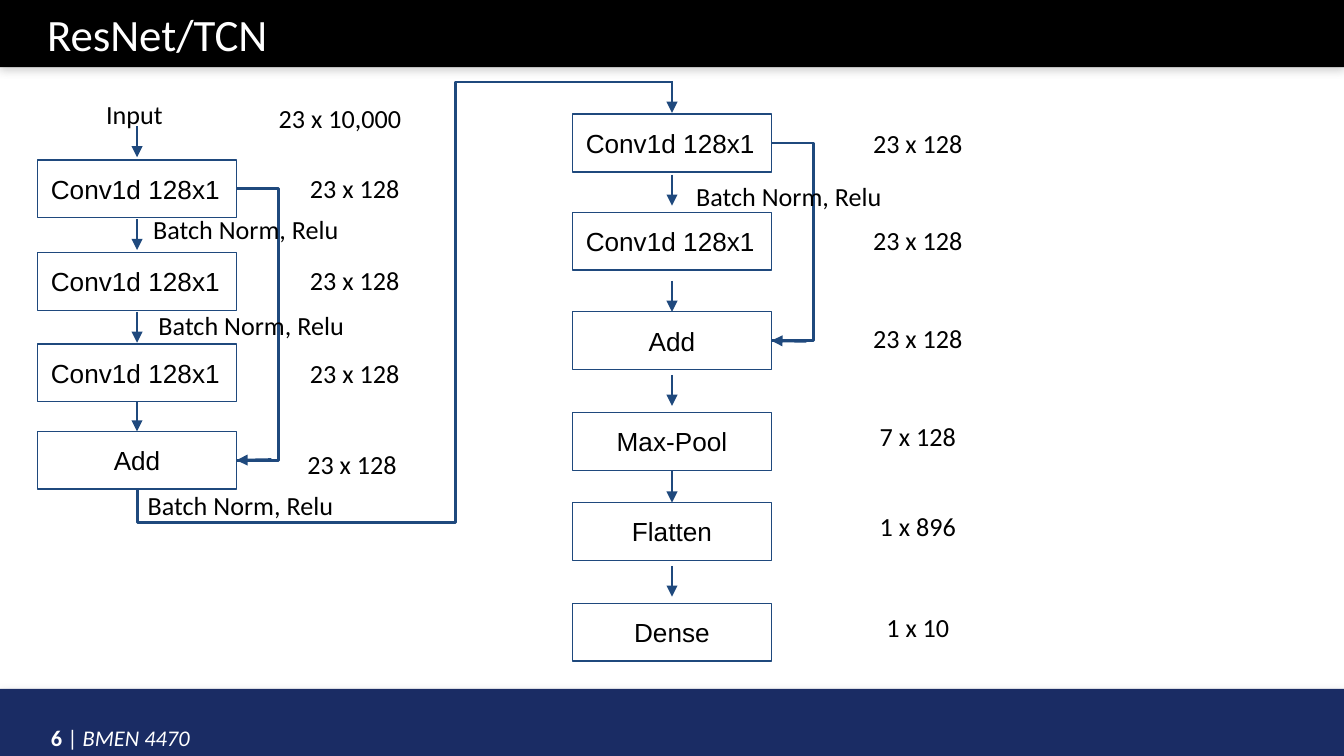
from dataclasses import dataclass

from lxml.etree import SubElement
from pptx import Presentation
from pptx.dml.color import RGBColor as Rgb
from pptx.enum.shapes import MSO_CONNECTOR as Link, MSO_SHAPE as Kind
from pptx.enum.text import MSO_ANCHOR as Anchor, MSO_AUTO_SIZE as Fit, PP_ALIGN as Align
from pptx.oxml.ns import qn
from pptx.util import Inches, Pt


@dataclass(frozen=True)
class Theme:
    black: str = "000000"
    white: str = "FFFFFF"
    navy: str = "1A2C64"
    blue: str = "1F497D"
    gray: str = "808080"
    body: str = "Calibri"
    code: str = "Arial"
    head: int = 24
    text: int = 14
    foot: int = 12


TOP, LEFT, BOTTOM, RIGHT = range(4)
WIDE = 10
HIGH = WIDE * 9 / 16
BAND = 0.5
BOX_W, BOX_H = 1.48, 0.43
DROP = 0.23  # length of a down arrow
JUT = 0.26  # reach of a skip link beyond its boxes


def write(shape, *parts, font, size, color, align=Align.LEFT, anchor=Anchor.TOP,
          pad=(0.1, 0.1), space=None):
    """Fill a shape with one paragraph; each part is text or (text, bold, italic)."""
    frame = shape.text_frame
    frame.word_wrap, frame.auto_size = True, Fit.NONE
    frame.vertical_anchor = anchor
    frame.margin_left = frame.margin_right = Inches(pad[0])
    frame.margin_top = frame.margin_bottom = Inches(pad[1])
    para = frame.paragraphs[0]
    para.alignment = align
    if space:
        para.line_spacing = space
    for part in parts:
        text, bold, slant = (part, False, False) if isinstance(part, str) else part
        run = para.add_run()
        run.text = text
        run.font.name, run.font.size = font, Pt(size)
        run.font.bold, run.font.italic = bold, slant
        run.font.color.rgb = Rgb.from_string(color)


class Board:
    def __init__(self, slide, theme):
        self.slide, self.theme = slide, theme
        self.shapes = slide.shapes

    def ink(self, shape, width):
        shape.line.color.rgb = Rgb.from_string(self.theme.blue)
        shape.line.width = Pt(width)

    def rect(self, x, y, w, h):
        shape = self.shapes.add_shape(Kind.RECTANGLE, *map(Inches, (x, y, w, h)))
        shape.shadow.inherit = False
        return shape

    def band(self, y, color):
        """Draw a full-width bar with a soft shadow below it."""
        bar = self.rect(0, y, WIDE, BAND)
        bar.fill.solid()
        bar.fill.fore_color.rgb = Rgb.from_string(color)
        bar.line.fill.background()
        effect = bar._element.spPr.find(qn("a:effectLst"))
        shade = SubElement(effect, qn("a:outerShdw"), blurRad=str(Pt(5)),
                           dist=str(Pt(1.8)), dir="5400000", rotWithShape="0")
        tint = SubElement(shade, qn("a:srgbClr"), val=self.theme.gray)
        SubElement(tint, qn("a:alpha"), val="35000")

    def title(self, text):
        head = self.shapes.title
        head.left, head.top, head.width, head.height = map(Inches, (0.25, 0, 4.75, 0.5))
        head._element.getparent().append(head._element)  # in front of the bands
        write(head, text, font=self.theme.body, size=self.theme.head,
              color=self.theme.white, pad=(0.1, 0.05))

    def foot(self, *parts):
        area = self.shapes.add_textbox(*map(Inches, (0.28, 5.14, 7.42, 0.3)))
        write(area, *parts, font=self.theme.body, size=self.theme.foot,
              color=self.theme.white, pad=(0.1, 0.05), space=2.0)

    def label(self, text, x, y, w=1.54):
        area = self.shapes.add_textbox(*map(Inches, (x, y, w, 0.44)))
        write(area, text, font=self.theme.body, size=self.theme.text,
              color=self.theme.black, align=Align.CENTER)

    def box(self, text, x, y):
        shape = self.rect(x, y, BOX_W, BOX_H)
        shape.fill.background()
        self.ink(shape, 0.75)
        align = Align.LEFT if text.startswith("Conv") else Align.CENTER
        write(shape, text, font=self.theme.code, size=self.theme.text,
              color=self.theme.black, align=align, anchor=Anchor.MIDDLE)
        return shape

    def link(self, kind, start, end):
        line = self.shapes.add_connector(kind, *map(Inches, (*start, *end)))
        self.ink(line, 1.5)
        SubElement(line._element.spPr, qn("a:effectLst"))
        return line

    def arrow(self, start, end, tail=None, tip=None):
        """Draw an arrow; tail and tip are optional (box, side) joints."""
        line = self.link(Link.STRAIGHT, start, end)
        SubElement(line.line._get_or_add_ln(), qn("a:tailEnd"), type="triangle")
        if tail:
            line.begin_connect(*tail)
        if tip:
            line.end_connect(*tip)

    def drop(self, x, y, **joints):
        self.arrow((x, y), (x, y + DROP), **joints)

    def skip(self, first, last, x, y):
        """Link the right sides of two boxes, with an arrow into the last at (x, y)."""
        line = self.link(Link.ELBOW, (x, y), (x, y))
        line.begin_connect(first, RIGHT)
        line.end_connect(last, RIGHT)
        thin = 600  # the bend is a share of the width, so it cannot be zero
        line.end_x = line.begin_x + thin
        guides = line._element.spPr.find(qn("a:prstGeom")).get_or_add_avLst()
        bend = round(Inches(JUT) / thin * 100000)
        SubElement(guides, qn("a:gd"), name="adj1", fmla=f"val {bend}")
        self.arrow((x + JUT, y), (x, y), tip=(last, RIGHT))

    def route(self, *points):
        first, *rest = [tuple(map(Inches, point)) for point in points]
        pen = self.shapes.build_freeform(*first, scale=1.0)
        pen.add_line_segments(rest, close=False)
        trail = pen.convert_to_shape()
        trail.fill.background()
        trail.shadow.inherit = False
        self.ink(trail, 1.5)


def stack(board, x, layers):
    """Place a column of boxes with their output sizes; return the boxes."""
    boxes = []
    for text, y, size, size_x, size_y in layers:
        boxes.append(board.box(text, x, y))
        board.label(size, size_x, size_y)
    return boxes


def main():
    deck = Presentation()
    deck.slide_width, deck.slide_height = Inches(WIDE), Inches(HIGH)
    theme = Theme()
    board = Board(deck.slides.add_slide(deck.slide_layouts[5]), theme)

    board.band(0, theme.black)
    board.band(HIGH - BAND, theme.navy)
    board.foot(("6 ", True, False), "| ", ("BMEN 4470", False, True))
    board.title("ResNet/TCN")

    conv, wide = "Conv1d 128x1", "23 x 128"
    board.label("Input", 0.23, 0.63)
    board.label("23 x 10,000", 1.76, 0.66)
    left = stack(board, 0.28, [
        (conv, 1.19, wide, 1.87, 1.18),
        (conv, 1.88, wide, 1.87, 1.87),
        (conv, 2.56, wide, 1.87, 2.56),
        ("Add", 3.21, wide, 1.85, 3.24),
    ])
    right = stack(board, 4.26, [
        (conv, 0.85, wide, 6.06, 0.85),
        (conv, 1.58, wide, 6.06, 1.57),
        ("Add", 2.32, wide, 6.06, 2.3),
        ("Max-Pool", 3.07, "7 x 128", 6.06, 3.03),
        ("Flatten", 3.74, "1 x 896", 6.06, 3.7),
        ("Dense", 4.49, "1 x 10", 6.06, 4.45),
    ])

    for y in (0.94, 1.63, 2.32):
        board.drop(1.02, y)
    board.drop(1.02, 2.98, tail=(left[2], BOTTOM), tip=(left[3], TOP))
    for y in (0.61, 1.3, 2.79, 4.21):
        board.drop(5, y)
    board.drop(5, 2.09, tip=(right[2], TOP))
    board.drop(5, 3.51, tail=(right[3], BOTTOM), tip=(right[4], TOP))

    board.skip(left[0], left[3], 1.76, 3.42)
    board.skip(right[0], right[2], 5.74, 2.54)
    board.route((1.02, 3.64), (1.02, 3.89), (3.39, 3.89), (3.39, 0.61), (5.01, 0.61))

    for x, y in ((0.9, 1.49), (0.94, 2.2), (4.94, 1.24), (0.86, 3.54)):
        board.label("Batch Norm, Relu", x, y, w=1.86)

    deck.save("out.pptx")


if __name__ == "__main__":
    main()
